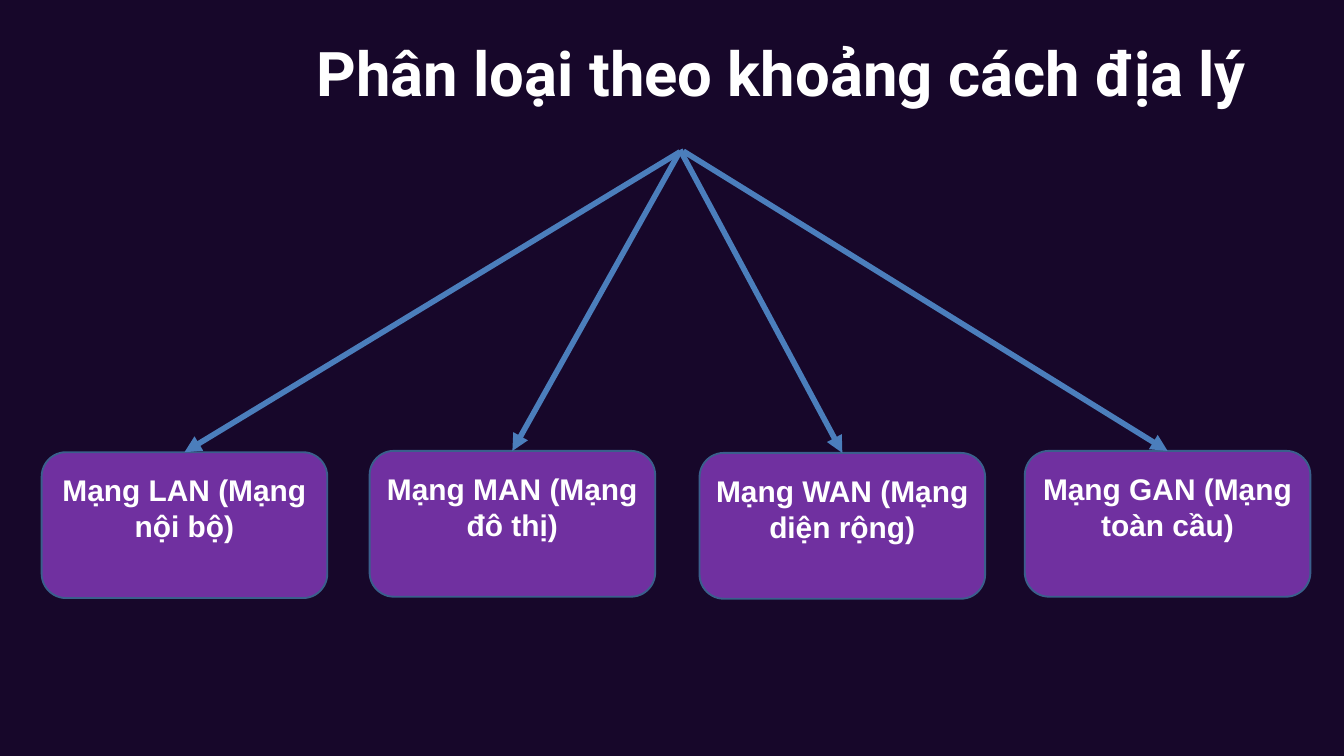
from typing import NamedTuple

from lxml.etree import SubElement
from pptx import Presentation
from pptx.dml.color import RGBColor
from pptx.enum.shapes import MSO_CONNECTOR as CONN, MSO_SHAPE as SHAPE
from pptx.enum.text import MSO_ANCHOR as ANCHOR, MSO_AUTO_SIZE as AUTO, PP_ALIGN as ALIGN
from pptx.oxml.ns import qn
from pptx.util import Inches, Pt

NIGHT = RGBColor(0x17, 0x07, 0x2A)
PURPLE = RGBColor(0x70, 0x30, 0xA0)
BORDER = RGBColor(0x3A, 0x5F, 0x8C)
ARROW = RGBColor(0x4B, 0x7E, 0xBC)
WHITE = RGBColor(0xFF, 0xFF, 0xFF)

BOX_W, BOX_H = 4.25, 2.17
TITLE_FONT = {"name": "Roboto", "size": Pt(66), "bold": True}
BOX_FONT = {"name": "Arial", "size": Pt(32), "bold": True}


class Network(NamedTuple):
    text: str
    left: float
    top: float
    start: tuple[float, float]  # where its arrow leaves the title


NETWORKS = [
    Network("Mạng LAN (Mạng nội bộ)", 0.62, 6.73, (10.12, 2.26)),
    Network("Mạng MAN (Mạng đô thị)", 5.5, 6.71, (10.12, 2.25)),
    Network("Mạng WAN (Mạng diện rộng)", 10.41, 6.74, (10.12, 2.23)),
    Network("Mạng GAN (Mạng toàn cầu)", 15.25, 6.71, (10.17, 2.25)),
]


def set_text(sp, text: str, font: dict, align: ALIGN, anchor: ANCHOR, insets: dict) -> None:
    tf = sp.text_frame
    tf.word_wrap = True
    tf.vertical_anchor = anchor
    for side, inset in insets.items():
        setattr(tf, f"margin_{side}", Inches(inset))
    p = tf.paragraphs[0]
    p.alignment = align
    r = p.add_run()
    r.text = text
    for name, value in font.items():
        setattr(r.font, name, value)
    r.font.color.rgb = WHITE


def add_title(slide, text: str) -> None:
    sp = slide.shapes.title
    sp.left, sp.top, sp.width, sp.height = map(Inches, (4.7, 0.51, 15.17, 1.12))
    set_text(sp, text, TITLE_FONT, ALIGN.LEFT, ANCHOR.TOP,
             {"left": 0.01, "top": 0.01, "right": 0, "bottom": 0})
    sp.text_frame.auto_size = AUTO.SHAPE_TO_FIT_TEXT


def add_box(slide, net: Network) -> None:
    sp = slide.shapes.add_shape(SHAPE.ROUNDED_RECTANGLE,
                                *map(Inches, (net.left, net.top, BOX_W, BOX_H)))
    sp.shadow.inherit = False
    sp.fill.solid()
    sp.fill.fore_color.rgb = PURPLE
    sp.line.color.rgb = BORDER
    sp.line.width = Pt(2)
    # The deep bottom inset lifts the text above the middle of the box.
    set_text(sp, net.text, BOX_FONT, ALIGN.CENTER, ANCHOR.MIDDLE, {"bottom": 0.56})


def add_arrow(slide, net: Network) -> None:
    """Draw an arrow from the title to the top centre of the box."""
    end = (net.left + BOX_W / 2, net.top)
    cxn = slide.shapes.add_connector(CONN.STRAIGHT, *map(Inches, net.start + end))
    cxn.line.color.rgb = ARROW
    cxn.line.width = Pt(6)
    SubElement(cxn.line._get_or_add_ln(), qn("a:tailEnd"), type="triangle")
    SubElement(cxn._element.spPr, qn("a:effectLst"))


def main() -> None:
    prs = Presentation()
    prs.slide_width, prs.slide_height = Inches(20), Inches(11.25)
    slide = prs.slides.add_slide(prs.slide_layouts[5])
    slide.background.fill.solid()
    slide.background.fill.fore_color.rgb = NIGHT
    add_title(slide, "Phân loại theo khoảng cách địa lý")
    for net in NETWORKS:
        add_box(slide, net)
    for net in NETWORKS:
        add_arrow(slide, net)
    prs.save("out.pptx")


if __name__ == "__main__":
    main()
